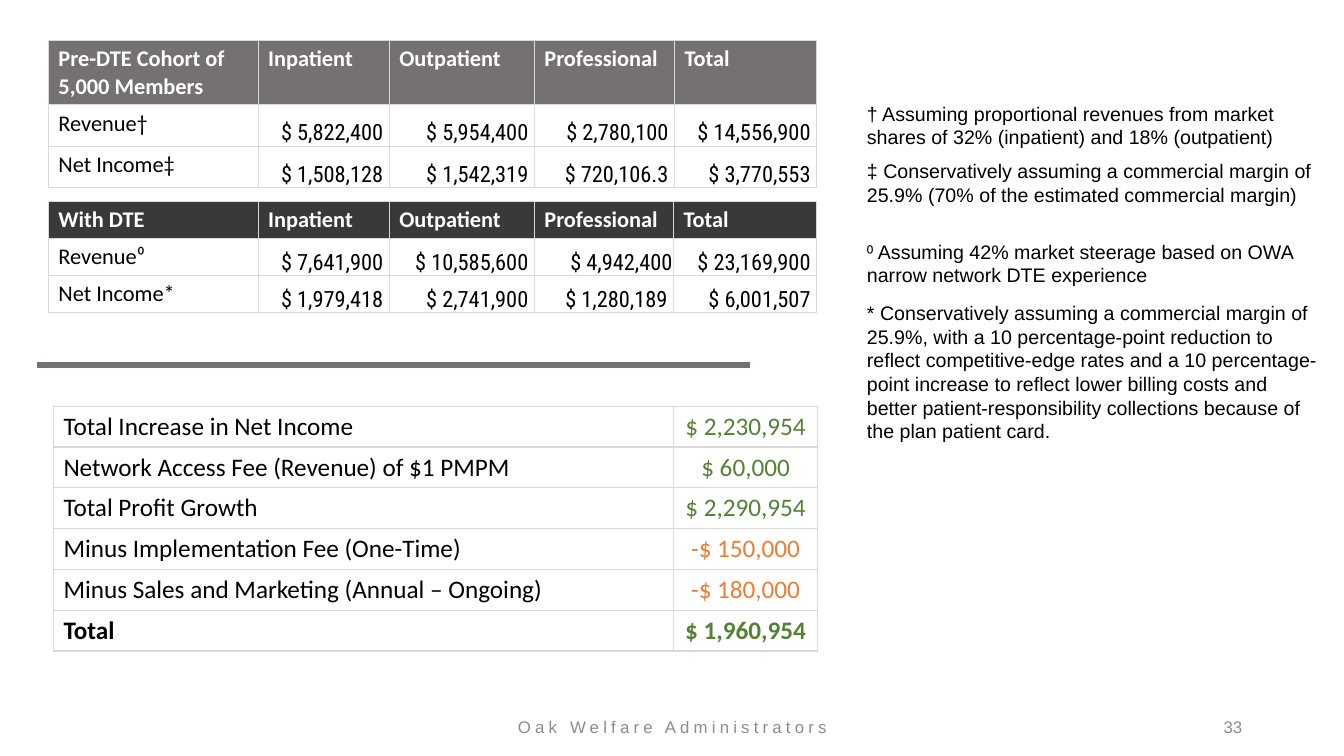
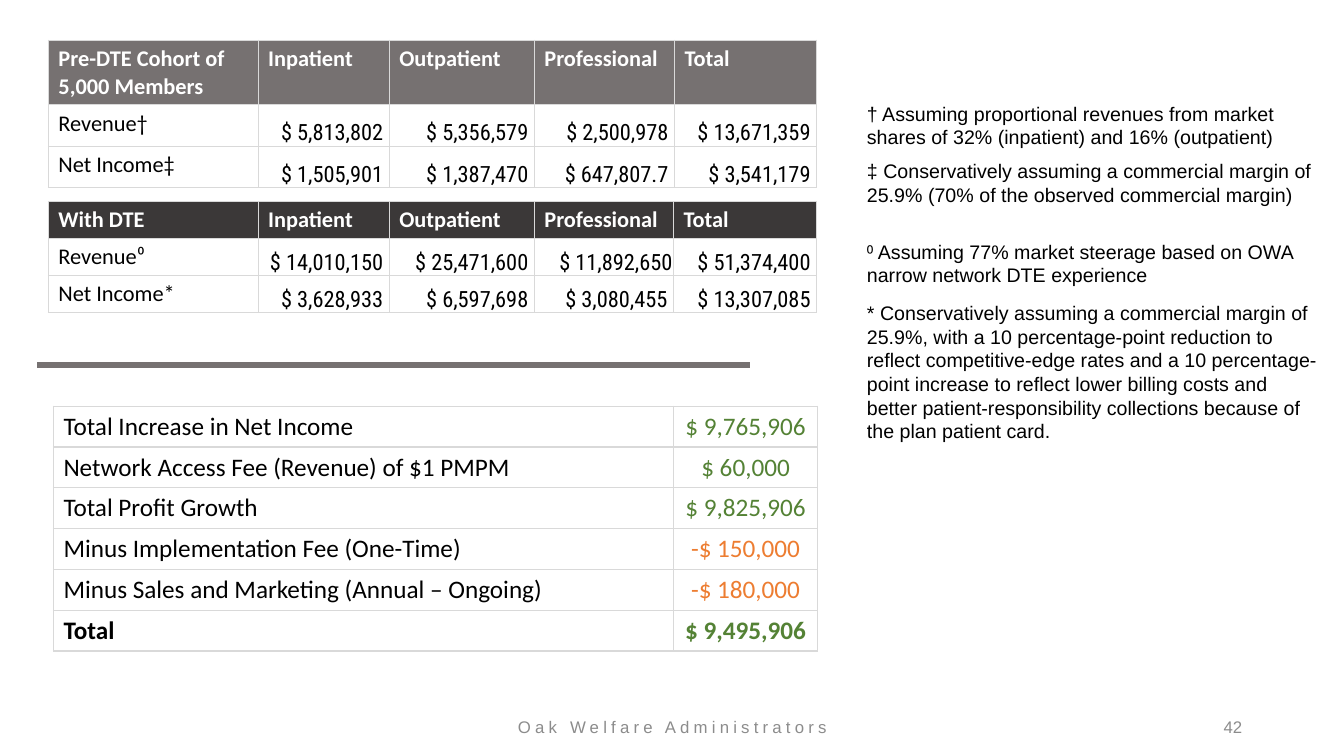
from lxml import etree
from pptx import Presentation
from pptx.dml.color import RGBColor
from pptx.enum.shapes import MSO_CONNECTOR
from pptx.enum.text import MSO_ANCHOR, PP_ALIGN
from pptx.oxml.ns import qn
from pptx.util import Inches, Pt

BLACK = RGBColor(0x00, 0x00, 0x00)
WHITE = RGBColor(0xFF, 0xFF, 0xFF)
GRAY = RGBColor(0x76, 0x71, 0x71)
CHARCOAL = RGBColor(0x3B, 0x38, 0x38)
FOOTER_GRAY = RGBColor(0x8C, 0x8C, 0x8C)
BORDER = RGBColor(0xD9, 0xD9, 0xD9)
GREEN = RGBColor(0x54, 0x82, 0x35)
ORANGE = RGBColor(0xED, 0x7D, 0x31)

COMPANY = "Oak Welfare Administrators"
SERVICES = ["Inpatient", "Outpatient", "Professional", "Total"]
SUMMARY_LABELS = [
    "Total Increase in Net Income",
    "Network Access Fee (Revenue) of $1 PMPM",
    "Total Profit Growth",
    "Minus Implementation Fee (One-Time)",
    "Minus Sales and Marketing (Annual – Ongoing)",
    "Total",
]
NOTES = [  # top, height, text
    (0.96, 0.81, "† Assuming proportional revenues from market shares of 32% (inpatient) "
                 "and {outpatient} (outpatient)"),
    (1.53, 0.57, "‡ Conservatively assuming a commercial margin of 25.9% "
                 "(70% of the {basis} commercial margin)"),
    (2.33, 0.57, "⁰ Assuming {steerage} market steerage based on OWA narrow network DTE experience"),
    (2.94, 1.51, "* Conservatively assuming a commercial margin of 25.9%, with a 10 "
                 "percentage-point reduction to reflect competitive-edge rates and a 10 "
                 "percentage-point increase to reflect lower billing costs and better "
                 "patient-responsibility collections because of the plan patient card."),
]
SCENARIOS = [
    dict(
        page="33", outpatient="18%", basis="estimated", steerage="42%",
        before=[["$ 5,822,400", "$ 5,954,400", "$ 2,780,100", "$ 14,556,900"],
                ["$ 1,508,128", "$ 1,542,319", "$ 720,106.3", "$ 3,770,553"]],
        after=[["$ 7,641,900", "$ 10,585,600", "$ 4,942,400", "$ 23,169,900"],
               ["$ 1,979,418", "$ 2,741,900", "$ 1,280,189", "$ 6,001,507"]],
        summary=["$ 2,230,954", "$ 60,000", "$ 2,290,954",
                 "-$ 150,000", "-$ 180,000", "$ 1,960,954"],
    ),
    dict(
        page="42", outpatient="16%", basis="observed", steerage="77%",
        before=[["$ 5,813,802", "$ 5,356,579", "$ 2,500,978", "$ 13,671,359"],
                ["$ 1,505,901", "$ 1,387,470", "$ 647,807.7", "$ 3,541,179"]],
        after=[["$ 14,010,150", "$ 25,471,600", "$ 11,892,650", "$ 51,374,400"],
               ["$ 3,628,933", "$ 6,597,698", "$ 3,080,455", "$ 13,307,085"]],
        summary=["$ 9,765,906", "$ 60,000", "$ 9,825,906",
                 "-$ 150,000", "-$ 180,000", "$ 9,495,906"],
    ),
]


def write(tf, text, size, font="Arial", color=BLACK, bold=False, align=PP_ALIGN.LEFT):
    p = tf.paragraphs[0]
    p.text = text
    p.alignment = align
    p.font.size = Pt(size)
    p.font.name = font
    p.font.bold = bold
    p.font.color.rgb = color
    return p


def add_grid(s, left, top, height, widths, rows):
    """Add a table with thin borders and no fill, and fill in its text."""
    frame = s.shapes.add_table(len(rows), len(widths), Inches(left), Inches(top),
                               Inches(sum(widths)), Inches(height))
    table = frame.table
    table.horz_banding = False
    for column, width in zip(table.columns, widths):
        column.width = Inches(width)
    for cell in table.iter_cells():
        tcPr = cell._tc.get_or_add_tcPr()
        for side in ("a:lnL", "a:lnR", "a:lnT", "a:lnB"):
            ln = etree.SubElement(tcPr, qn(side), w=str(Pt(1)))
            solid = etree.SubElement(ln, qn("a:solidFill"))
            etree.SubElement(solid, qn("a:srgbClr"), val=str(BORDER))
        cell.fill.background()
    for r, row in enumerate(rows):
        for c, value in enumerate(row):
            table.cell(r, c).text = value
    return table


prs = Presentation()
prs.slide_width, prs.slide_height = Inches(13.33), Inches(7.5)

for scenario in SCENARIOS:
    s = prs.slides.add_slide(prs.slide_layouts[6])

    # Footer
    for left, width, text, align, spacing in [
        (4.42, 4.5, COMPANY, PP_ALIGN.CENTER, 300),
        (9.42, 3, scenario["page"], PP_ALIGN.RIGHT, 0),
    ]:
        tf = s.shapes.add_textbox(Inches(left), Inches(7.08), Inches(width), Inches(0.27)).text_frame
        tf.word_wrap = True
        tf.vertical_anchor = MSO_ANCHOR.MIDDLE
        p = write(tf, text, 12, color=FOOTER_GRAY, align=align)
        p.runs[0].font._element.set("spc", str(spacing))

    # Income tables; one value in the second table sits flush with its border
    for top, height, widths, title, marks, values, fill, flush in [
        (0.4, 1.23, [2.08, 1.3, 1.44, 1.39, 1.41], "Pre-DTE Cohort of 5,000 Members",
         "†‡", scenario["before"], GRAY, None),
        (2, 1.1, [2.08, 1.3, 1.44, 1.38, 1.42], "With DTE",
         "⁰*", scenario["after"], CHARCOAL, (1, 3)),
    ]:
        rows = [[title] + SERVICES]
        for label, mark, amounts in zip(("Revenue", "Net Income"), marks, values):
            rows.append([label + mark] + amounts)
        table = add_grid(s, 0.48, top, height, widths, rows)
        if title.startswith("Pre"):
            table.rows[0].height = Inches(0.64)
        for r, row in enumerate(rows):
            for c, value in enumerate(row):
                cell = table.cell(r, c)
                if r == 0:
                    cell.fill.solid()
                    cell.fill.fore_color.rgb = fill
                    write(cell.text_frame, value, 16, "Calibri", WHITE, bold=True)
                elif c == 0:
                    write(cell.text_frame, value, 16, "Calibri")
                else:
                    cell.vertical_anchor = MSO_ANCHOR.BOTTOM
                    cell.margin_left = cell.margin_top = Inches(0.01)
                    cell.margin_right = Inches(0.01 if (r, c) == flush else 0.06)
                    cell.margin_bottom = 0
                    write(cell.text_frame, value, 16, "Roboto Condensed", align=PP_ALIGN.RIGHT)

    # Divider
    divider = s.shapes.add_connector(MSO_CONNECTOR.STRAIGHT, Inches(0.37), Inches(3.62),
                                     Inches(7.44), Inches(3.62))
    divider.line.color.rgb = GRAY
    divider.line.width = Pt(4.5)
    etree.SubElement(divider._element.spPr, qn("a:effectLst"))

    # Summary table
    rows = list(zip(SUMMARY_LABELS, scenario["summary"]))
    table = add_grid(s, 0.53, 4.03, 2.43, [6.15, 1.43], rows)
    for r, (label, amount) in enumerate(rows):
        bold = label == "Total"
        color = ORANGE if amount.startswith("-") else GREEN
        write(table.cell(r, 0).text_frame, label, 18, "Calibri", bold=bold)
        write(table.cell(r, 1).text_frame, amount, 18, "Calibri", color, bold, PP_ALIGN.CENTER)

    # Notes
    for top, height, note in NOTES:
        tf = s.shapes.add_textbox(Inches(8.5), Inches(top), Inches(4.72), Inches(height)).text_frame
        tf.word_wrap = True
        write(tf, note.format(**scenario), 14)

prs.save("out.pptx")
